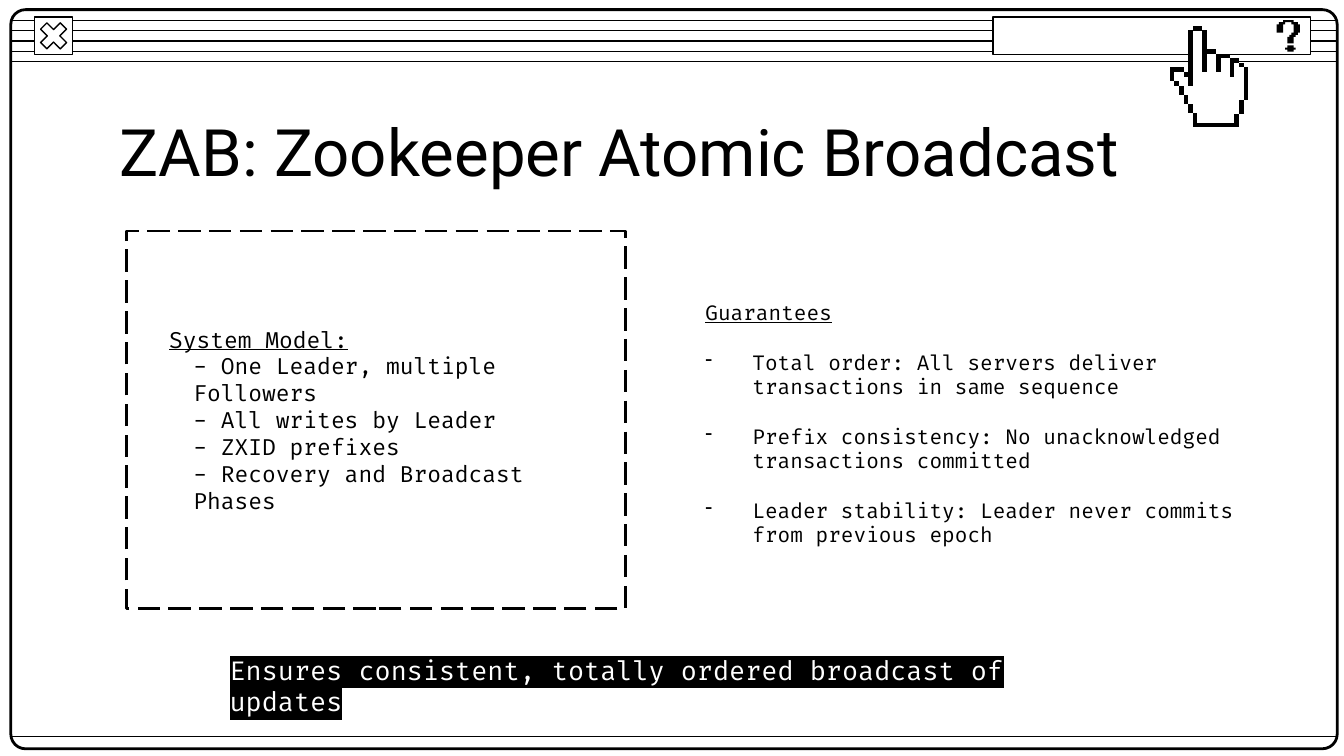
"""Build the ZAB slide: a retro window frame, a title, two lists and a highlighted takeaway."""
from lxml import etree
from pptx import Presentation
from pptx.dml.color import RGBColor
from pptx.enum.dml import MSO_LINE
from pptx.enum.shapes import MSO_CONNECTOR, MSO_SHAPE
from pptx.enum.text import MSO_ANCHOR, MSO_AUTO_SIZE, PP_ALIGN
from pptx.oxml.ns import qn
from pptx.util import Pt

RECTANGLE, ROUNDED, CROSS = MSO_SHAPE.RECTANGLE, MSO_SHAPE.ROUNDED_RECTANGLE, MSO_SHAPE.MATH_MULTIPLY
STRAIGHT, LONG_DASH = MSO_CONNECTOR.STRAIGHT, MSO_LINE.LONG_DASH
MIDDLE, TOP = MSO_ANCHOR.MIDDLE, MSO_ANCHOR.TOP
LEFT, NO_FIT = PP_ALIGN.LEFT, MSO_AUTO_SIZE.NONE

THEME = {
    "ink": RGBColor(0, 0, 0), "paper": RGBColor(255, 255, 255),
    "heading_font": "Roboto", "body_font": "Fira Code",
    "title": 35, "model": 12, "guarantees": 11, "takeaway": 14,
    "thin": 0.75, "thick": 1.5,
}

TITLE = "ZAB: Zookeeper Atomic Broadcast"
MODEL_HEADING = "System Model:"
MODEL_ITEMS = [
    "- One Leader, multiple Followers",
    "- All writes by Leader",
    "- ZXID prefixes",
    "- Recovery and Broadcast Phases",
]
GUARANTEES_HEADING = "Guarantees"
GUARANTEES = [
    "Total order: All servers deliver transactions in same sequence",
    "Prefix consistency: No unacknowledged transactions committed",
    "Leader stability: Leader never commits from previous epoch",
]
TAKEAWAY = "Ensures consistent, totally ordered broadcast of updates"

WINDOW = (5.8, 5.2, 710.6, 396)
STRIPE_TOP, STRIPE_GAP, STRIPE_COUNT, FOOTER_Y = 10.9, 5.55, 5, 394.6
CLOSE_BUTTON = (18.6, 9.1, 20.3, 20.3)
SEARCH_BAR = (532, 9.1, 170.1, 20.3)
TITLE_BOX = (56.7, 58.1, 607, 45.4)
GUARANTEES_BOX = (360, 141.2, 317.5, 171.4)
MODEL_BOX = (67.7, 123.8, 267.4, 202.2)
TAKEAWAY_BOX = (115.9, 347, 488.2, 24.5)

QUESTION_ORIGIN, QUESTION_CELL = (684, 10.8), 1.13
QUESTION_OUTLINES = [
    [(5, 12), (5, 13), (4, 13), (4, 14), (5, 14), (5, 15),
     (8, 15), (8, 14), (9, 14), (9, 13), (8, 13), (8, 12)],
    [(3, 0), (3, 1), (1, 1), (1, 2), (0, 2), (0, 6), (3, 6), (3, 2), (4, 2), (4, 1),
     (7, 1), (7, 2), (8, 2), (8, 6), (7, 6), (7, 7), (6, 7), (6, 8), (5, 8), (5, 11),
     (8, 11), (8, 8), (9, 8), (9, 7), (10, 7), (10, 6), (11, 6), (11, 2), (10, 2),
     (10, 1), (8, 1), (8, 0)],
]

HAND_ORIGIN, HAND_CELL = (626.7, 13.9), 2.47
HAND_OUTLINE = [
    (5, 0), (5, 1), (4, 1), (4, 10), (3, 10), (3, 9), (0, 9), (0, 12), (1, 12), (1, 13),
    (2, 13), (2, 15), (3, 15), (3, 17), (4, 17), (4, 19), (5, 19), (5, 22), (15, 22),
    (15, 19), (16, 19), (16, 16), (17, 16), (17, 9), (16, 9), (16, 8), (15, 8), (15, 7),
    (13, 7), (13, 6), (10, 6), (10, 5), (8, 5), (8, 1), (7, 1), (7, 0),
]
HAND_STROKES = [
    (4, 1, 1, 12), (5, 0, 2, 1), (7, 1, 1, 9), (8, 5, 2, 1), (10, 7, 1, 3), (10, 6, 3, 1),
    (13, 8, 1, 3), (13, 7, 2, 1), (15, 8, 1, 1), (16, 9, 1, 7), (15, 16, 1, 3),
    (14, 19, 1, 3), (5, 21, 9, 1), (3, 10, 1, 1), (0, 9, 3, 1), (0, 10, 1, 2),
    (1, 12, 1, 1), (2, 13, 1, 2), (3, 15, 1, 2), (4, 17, 1, 2), (5, 19, 1, 2),
]


def points(values):
    return [Pt(value) for value in values]


def apply(target, values):
    for name, value in values.items():
        setattr(target, name, value)


def paint(shape, fill=None, width=None):
    shape.shadow.inherit = False
    if fill is None:
        shape.fill.background()
    else:
        shape.fill.solid()
        shape.fill.fore_color.rgb = fill
    if width is None:
        shape.line.fill.background()
    else:
        shape.line.color.rgb = THEME["ink"]
        shape.line.width = Pt(width)


def add_panel(page, kind, place, fill, width, adjustment=None):
    shape = page.shapes.add_shape(kind, *points(place))
    paint(shape, fill, width)
    if adjustment is not None:
        shape.adjustments[0] = adjustment
    return shape


def add_rule(page, height):
    left, _, width, _ = WINDOW
    rule = page.shapes.add_connector(STRAIGHT, *points((left, height, left + width, height)))
    rule.line.color.rgb = THEME["ink"]
    rule.line.width = Pt(THEME["thin"])
    etree.SubElement(rule.element.spPr, qn("a:effectLst"))


def add_pixels(page, outline, origin, cell, fill):
    builder = page.shapes.build_freeform(*outline[0], scale=Pt(cell))
    builder.add_line_segments(outline[1:], close=True)
    paint(builder.convert_to_shape(*points(origin)), fill)


def setup_frame(frame, anchor, inset):
    sides = ("margin_left", "margin_right", "margin_top", "margin_bottom")
    apply(frame, dict.fromkeys(sides, Pt(inset)))
    apply(frame, {"word_wrap": True, "auto_size": NO_FIT, "vertical_anchor": anchor})


def write(para, text, size, font="body_font", color="ink", underline=False,
          margin=0, indent=0, bullet=None, before=0):
    apply(para, {"alignment": LEFT, "space_before": Pt(before)})
    properties = para._p.get_or_add_pPr()
    properties.set("marL", str(Pt(margin)))
    properties.set("indent", str(Pt(indent)))
    if bullet:
        etree.SubElement(properties, qn("a:buChar"), char=bullet)
    span = para.add_run()
    span.text = text
    apply(span.font, {"name": THEME[font], "size": Pt(THEME[size]), "underline": underline})
    span.font.color.rgb = THEME[color]
    return span


def write_list(frame, size, heading, items, heading_format, item_format):
    write(frame.paragraphs[0], heading, size, underline=True, **heading_format)
    for item in items:
        write(frame.add_paragraph(), item, size, **item_format)


def highlight(span, color):
    mark = etree.Element(qn("a:highlight"))
    etree.SubElement(mark, qn("a:srgbClr"), val=str(color))
    span.font._element.find(qn("a:solidFill")).addnext(mark)


def draw_window(page):
    ink, paper, thin = THEME["ink"], THEME["paper"], THEME["thin"]
    for index in range(STRIPE_COUNT):
        add_rule(page, STRIPE_TOP + index * STRIPE_GAP)
    add_panel(page, ROUNDED, WINDOW, None, THEME["thick"], 0.02)
    add_panel(page, RECTANGLE, CLOSE_BUTTON, paper, thin)
    add_panel(page, CROSS, CLOSE_BUTTON, paper, thin, 0.235)
    add_rule(page, FOOTER_Y)
    add_panel(page, RECTANGLE, SEARCH_BAR, paper, thin)
    for outline in QUESTION_OUTLINES:
        add_pixels(page, outline, QUESTION_ORIGIN, QUESTION_CELL, ink)
    add_pixels(page, HAND_OUTLINE, HAND_ORIGIN, HAND_CELL, paper)
    for column, row, wide, high in HAND_STROKES:
        right, bottom = column + wide, row + high
        corners = [(column, row), (column, bottom), (right, bottom), (right, row)]
        add_pixels(page, corners, HAND_ORIGIN, HAND_CELL, ink)


def fill_text(page):
    title = page.shapes.title
    apply(title, dict(zip(("left", "top", "width", "height"), points(TITLE_BOX))))
    setup_frame(title.text_frame, MIDDLE, 7.2)
    write(title.text_frame.paragraphs[0], TITLE, "title", "heading_font")

    guarantees = page.shapes.add_textbox(*points(GUARANTEES_BOX)).text_frame
    setup_frame(guarantees, MIDDLE, 7.2)
    hanging = {"margin": 36, "indent": -25.2}
    write_list(guarantees, "guarantees", GUARANTEES_HEADING, GUARANTEES,
               hanging, {**hanging, "bullet": "-", "before": 13.2})

    model = add_panel(page, RECTANGLE, MODEL_BOX, None, THEME["thick"])
    model.line.dash_style = LONG_DASH
    setup_frame(model.text_frame, MIDDLE, 7.2)
    write_list(model.text_frame, "model", MODEL_HEADING, MODEL_ITEMS,
               {"margin": 15.8}, {"margin": 28.8})

    takeaway = page.shapes.add_textbox(*points(TAKEAWAY_BOX)).text_frame
    setup_frame(takeaway, TOP, 7.2)
    takeaway.margin_top = takeaway.margin_bottom = Pt(3.6)
    highlight(write(takeaway.paragraphs[0], TAKEAWAY, "takeaway", color="paper"), THEME["ink"])


def main():
    deck = Presentation()
    apply(deck, {"slide_width": Pt(720), "slide_height": Pt(405)})
    page = deck.slides.add_slide(deck.slide_layouts[5])
    draw_window(page)
    fill_text(page)
    deck.save("out.pptx")


if __name__ == "__main__":
    main()
